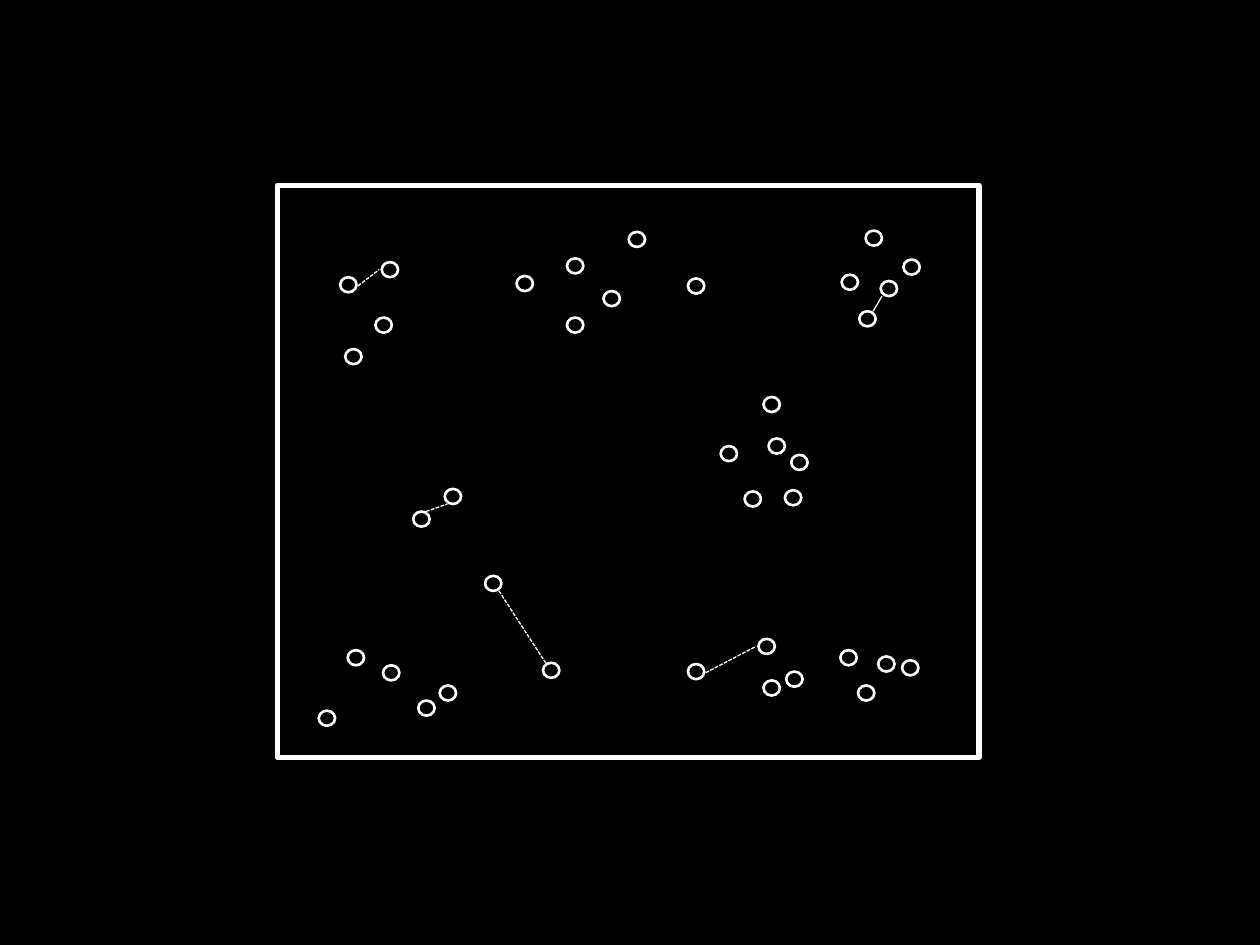
from lxml.etree import SubElement
from pptx import Presentation
from pptx.dml.color import RGBColor
from pptx.enum.dml import MSO_LINE
from pptx.enum.shapes import MSO_CONNECTOR, MSO_SHAPE
from pptx.oxml.ns import qn
from pptx.util import Inches, Pt

BLACK, WHITE = "000000", "FFFFFF"
DOT_WIDTH, DOT_HEIGHT = 0.13, 0.12

# Left and top of each dot, by cluster
CLUSTERS = {
    "top left": [(2.7, 2.2), (3.03, 2.08), (2.98, 2.52), (2.74, 2.77)],
    "top middle": [(4.1, 2.19), (4.5, 2.05), (4.99, 1.84), (4.79, 2.31),
                   (4.5, 2.52), (5.46, 2.21)],
    "top right": [(6.87, 1.83), (7.17, 2.06), (6.68, 2.18), (6.99, 2.23),
                  (6.82, 2.47)],
    "centre right": [(6.06, 3.15), (5.72, 3.54), (6.1, 3.48), (6.28, 3.61),
                     (5.91, 3.9), (6.23, 3.89)],
    "centre left": [(3.53, 3.88), (3.28, 4.06)],
    "bottom left": [(2.76, 5.16), (3.04, 5.28), (3.49, 5.44), (3.32, 5.56),
                    (2.53, 5.64)],
    "bottom middle": [(3.85, 4.57), (4.31, 5.26)],
    "bottom right": [(5.46, 5.27), (6.02, 5.07), (6.06, 5.4), (6.24, 5.33),
                     (6.67, 5.16), (6.97, 5.21), (7.16, 5.24), (6.81, 5.44)],
}

DASHED_LINKS = [
    (3.96, 4.69, 4.33, 5.26),
    (3.38, 4.06, 3.55, 4),
    (5.6, 5.34, 6, 5.13),
    (2.84, 2.27, 3.01, 2.14),
]
SOLID_LINK = (6.93, 2.47, 7, 2.35)


def rgb(value):
    return RGBColor.from_string(value)


def set_line(shape, **formats):
    shape.line.color.rgb = rgb(WHITE)
    for name, value in formats.items():
        setattr(shape.line, name, value)


def add_outline(s, kind, box, width):
    """Add an unfilled preset shape with a white line."""
    sp = s.shapes.add_shape(kind, *map(Inches, box))
    sp.shadow.inherit = False
    sp.fill.background()
    set_line(sp, width=Pt(width))


def add_link(s, ends, **formats):
    link = s.shapes.add_connector(MSO_CONNECTOR.STRAIGHT, *map(Inches, ends))
    set_line(link, width=Pt(0.75), **formats)
    SubElement(link._element.spPr, qn("a:effectLst"))


def main():
    prs = Presentation()
    prs.slide_width, prs.slide_height = Inches(10), Inches(7.5)
    s = prs.slides.add_slide(prs.slide_layouts[6])
    s.background.fill.solid()
    s.background.fill.fore_color.rgb = rgb(BLACK)

    add_outline(s, MSO_SHAPE.RECTANGLE, (2.2, 1.47, 5.57, 4.54), 3)
    for dots in CLUSTERS.values():
        for left, top in dots:
            add_outline(s, MSO_SHAPE.OVAL, (left, top, DOT_WIDTH, DOT_HEIGHT), 1.5)
    for ends in DASHED_LINKS:
        add_link(s, ends, dash_style=MSO_LINE.SQUARE_DOT)
    add_link(s, SOLID_LINK)

    prs.save("out.pptx")


if __name__ == "__main__":
    main()
